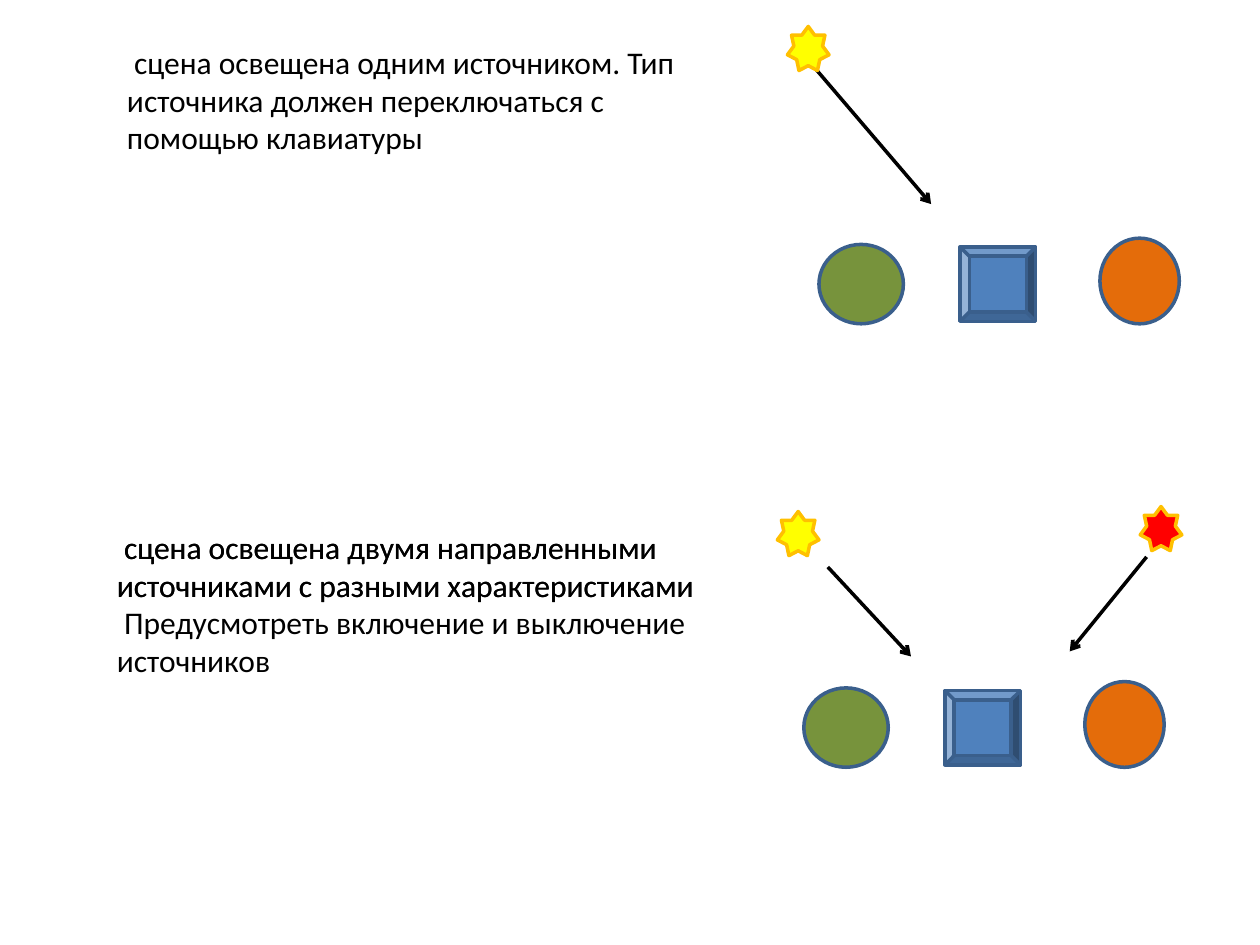
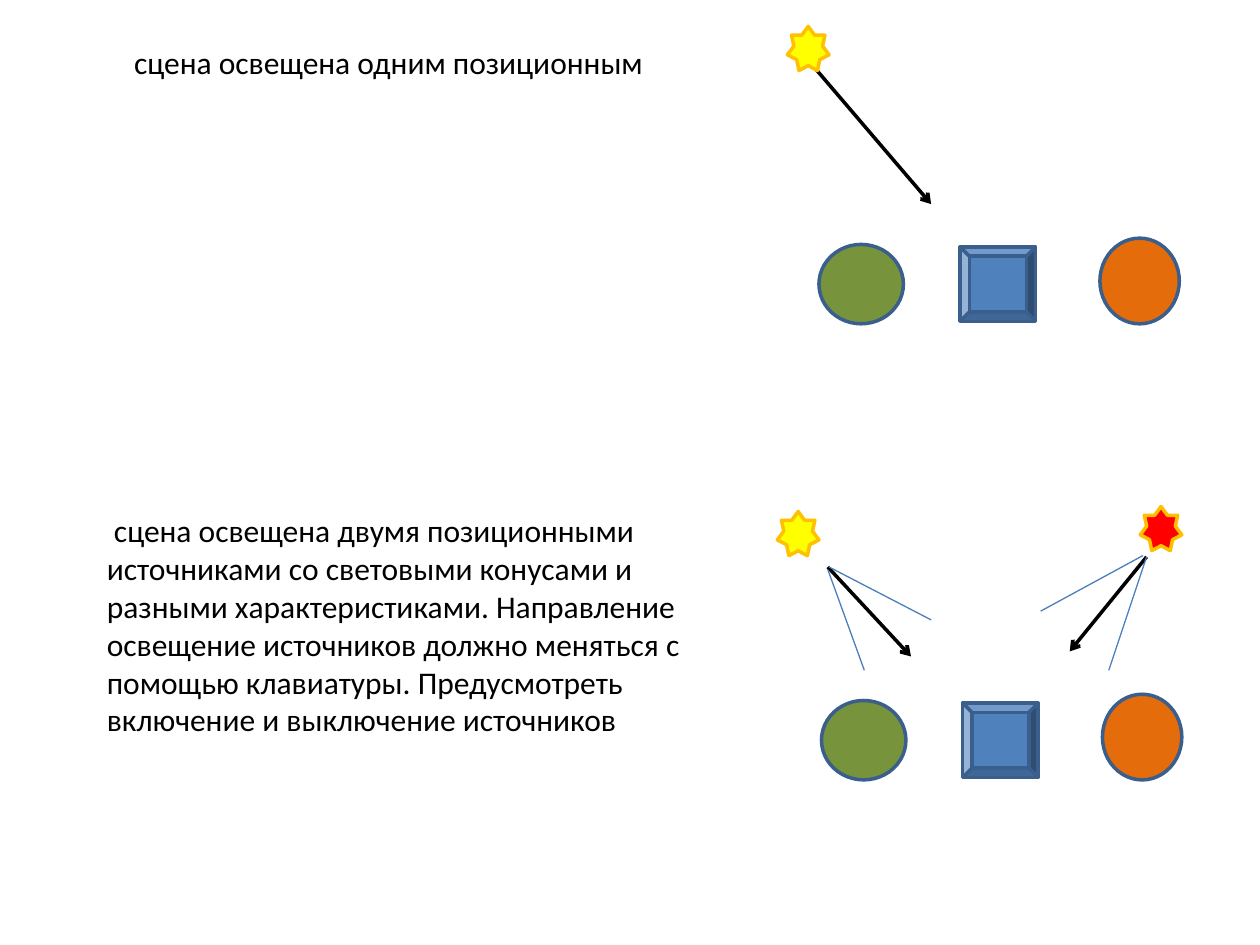
"""Build two slides of lighting schemes: a scene of three solids under light sources."""
from typing import NamedTuple

from lxml.etree import SubElement
from pptx import Presentation
from pptx.dml.color import RGBColor
from pptx.enum.shapes import MSO_CONNECTOR, MSO_SHAPE
from pptx.enum.text import MSO_AUTO_SIZE
from pptx.oxml.ns import qn
from pptx.util import Inches, Pt

COLORS = {
    "text": "000000", "ray": "000000", "cone": "4B7EBC",
    "sun": "FFFF00", "red": "FF0000", "glow": "FFC000",
    "green": "77933C", "blue": "4F81BD", "orange": "E46C0A", "edge": "3A5F8C",
}
FONT = "Calibri"


class Solid(NamedTuple):
    """A solid of the scene, placed relative to the scene's corner."""
    kind: MSO_SHAPE
    dx: float
    dy: float
    width: float
    height: float
    fill: str


class Segment(NamedTuple):
    """A straight line between two points."""
    x1: float
    y1: float
    x2: float
    y2: float


class Light(NamedTuple):
    """A star-shaped source with its ray and the edges of its cone."""
    x: float
    y: float
    fill: str
    ray: Segment
    cone: tuple[Segment, ...] = ()


class Caption(NamedTuple):
    """A text block with its box."""
    x: float
    y: float
    height: float
    paragraphs: tuple[str, ...]


class Scheme(NamedTuple):
    """A scene with its captions and lights."""
    captions: tuple[Caption, ...]
    lights: tuple[Light, ...]
    scene: tuple[float, float]


SOLIDS = (
    Solid(MSO_SHAPE.BEVEL, 1.12, 0.02, 0.6, 0.59, "blue"),
    Solid(MSO_SHAPE.OVAL, 0, 0, 0.67, 0.63, "green"),
    Solid(MSO_SHAPE.OVAL, 2.23, -0.05, 0.63, 0.68, "orange"),
)
SINGLE = Light(6.25, 0.21, "sun", Segment(6.45, 0.52, 7.39, 1.62))
LEFT = Light(6.17, 4.06, "sun", Segment(6.57, 4.5, 7.23, 5.21))
RIGHT = Light(9.05, 4.02, "red", Segment(9.1, 4.42, 8.49, 5.17))
LEFT_CONE = (Segment(6.57, 4.52, 6.86, 5.32), Segment(6.58, 4.5, 7.39, 4.92))
RIGHT_CONE = (Segment(8.26, 4.85, 9.07, 4.41), Segment(8.8, 5.32, 9.1, 4.42))
TOP_SCENE = (6.5, 1.94)
TWO_DIRECTED = " сцена освещена двумя направленными источниками с разными характеристиками"

SLIDES = (
    (
        Scheme((Caption(0.91, 0.29, 1.01, (
            " сцена освещена одним источником. Тип источника должен "
            "переключаться с помощью клавиатуры",)),), (SINGLE,), TOP_SCENE),
        Scheme((
            Caption(0.83, 4.14, 0.71, (TWO_DIRECTED,)),
            Caption(0.83, 4.14, 1.31, (
                TWO_DIRECTED, " Предусмотреть включение и выключение источников")),
        ), (LEFT, RIGHT), (6.38, 5.46)),
    ),
    (
        Scheme((Caption(0.91, 0.29, 0.4, (" сцена освещена одним позиционным",)),),
               (SINGLE,), TOP_SCENE),
        Scheme((Caption(0.75, 4.01, 1.92, (
            " сцена освещена двумя позиционными источниками со световыми конусами "
            "и разными характеристиками. Направление освещение источников должно "
            "меняться с помощью клавиатуры. Предусмотреть включение и выключение "
            "источников",)),),
            (LEFT._replace(cone=LEFT_CONE), RIGHT._replace(cone=RIGHT_CONE)),
            (6.52, 5.56)),
    ),
)


def rgb(name: str) -> RGBColor:
    """Return a named colour."""
    return RGBColor.from_string(COLORS[name])


def write(p, text: str, *, size: float = 18, color: str = "text", font: str = FONT) -> None:
    """Add a formatted run to a paragraph."""
    r = p.add_run()
    r.text = text
    r.font.size, r.font.name = Pt(size), font
    r.font.color.rgb = rgb(color)


def add_caption(s, caption: Caption) -> None:
    """Draw a wrapped text box."""
    sp = s.shapes.add_textbox(Inches(caption.x), Inches(caption.y), Inches(5), Inches(caption.height))
    tf = sp.text_frame
    tf.word_wrap = True
    tf.auto_size = MSO_AUTO_SIZE.SHAPE_TO_FIT_TEXT
    for i, text in enumerate(caption.paragraphs):
        write(tf.add_paragraph() if i else tf.paragraphs[0], text)


def add_figure(s, kind: MSO_SHAPE, x: float, y: float, width: float, height: float,
               fill: str, edge: str) -> None:
    """Draw a filled and outlined preset shape."""
    sp = s.shapes.add_shape(kind, Inches(x), Inches(y), Inches(width), Inches(height))
    sp.shadow.inherit = False
    sp.fill.solid()
    sp.fill.fore_color.rgb = rgb(fill)
    sp.line.color.rgb = rgb(edge)
    sp.line.width = Pt(2)


def add_line(s, segment: Segment, color: str, width: float, arrow: bool = False) -> None:
    """Draw a straight line, with an arrowhead at its end if asked."""
    line = s.shapes.add_connector(MSO_CONNECTOR.STRAIGHT, *map(Inches, segment))
    line.line.color.rgb = rgb(color)
    line.line.width = Pt(width)
    if arrow:
        SubElement(line.line._get_or_add_ln(), qn("a:tailEnd"), type="arrow")
    SubElement(line._element.spPr, qn("a:effectLst"))


def add_light(s, light: Light) -> None:
    """Draw a light source over its ray and cone."""
    add_line(s, light.ray, "ray", 2, arrow=True)
    for edge in light.cone:
        add_line(s, edge, "cone", 0.75)
    add_figure(s, MSO_SHAPE.STAR_7_POINT, light.x, light.y, 0.33, 0.35, light.fill, "glow")


def add_scheme(s, scheme: Scheme) -> None:
    """Draw captions, lights and solids of one scheme."""
    for caption in scheme.captions:
        add_caption(s, caption)
    for light in scheme.lights:
        add_light(s, light)
    x, y = scheme.scene
    for kind, dx, dy, width, height, fill in SOLIDS:
        add_figure(s, kind, x + dx, y + dy, width, height, fill, "edge")


def main() -> None:
    """Build and save the presentation."""
    prs = Presentation()
    prs.slide_width, prs.slide_height = Inches(10), Inches(7.5)
    for schemes in SLIDES:
        s = prs.slides.add_slide(prs.slide_layouts[6])
        for scheme in schemes:
            add_scheme(s, scheme)
    prs.save("out.pptx")


if __name__ == "__main__":
    main()
